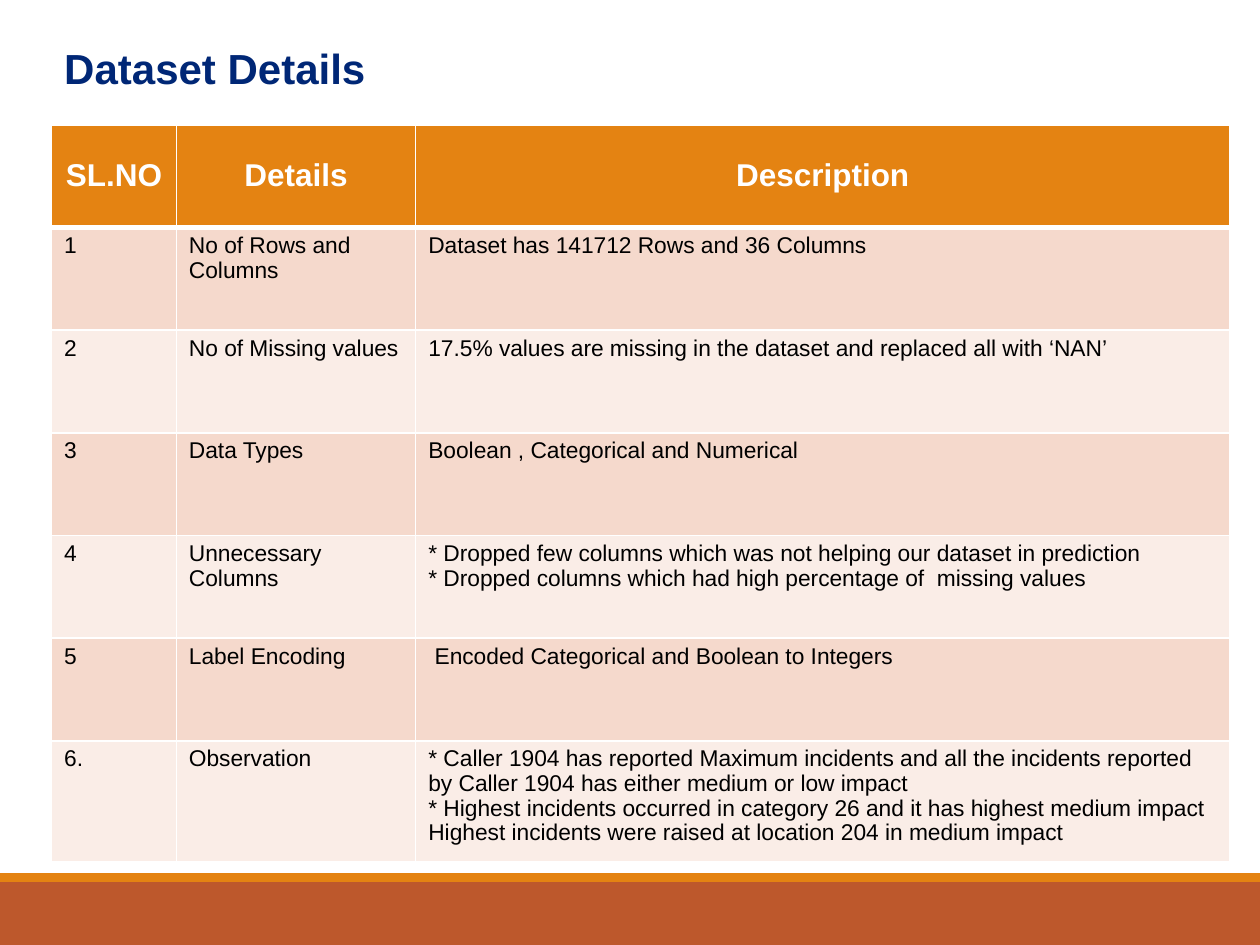
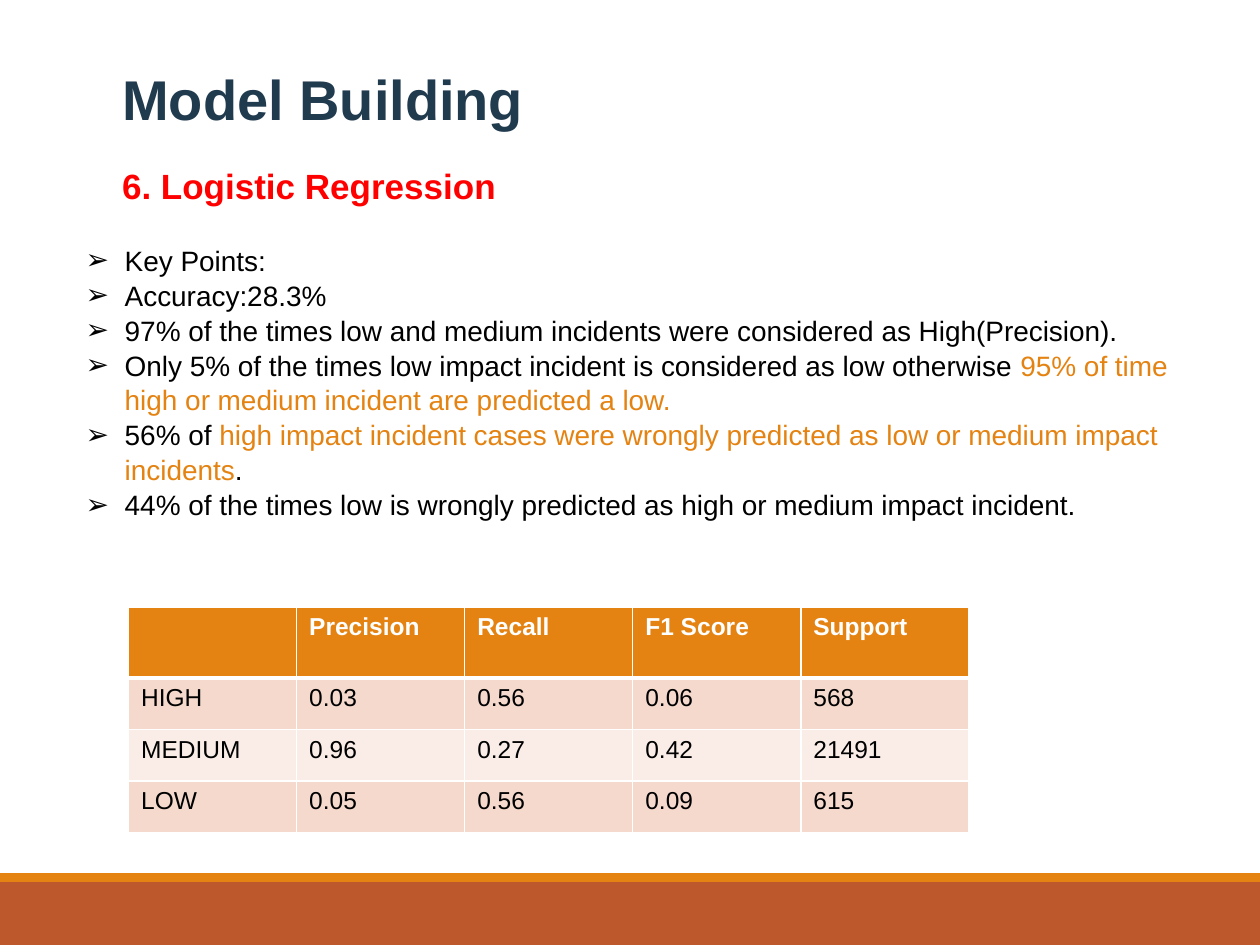
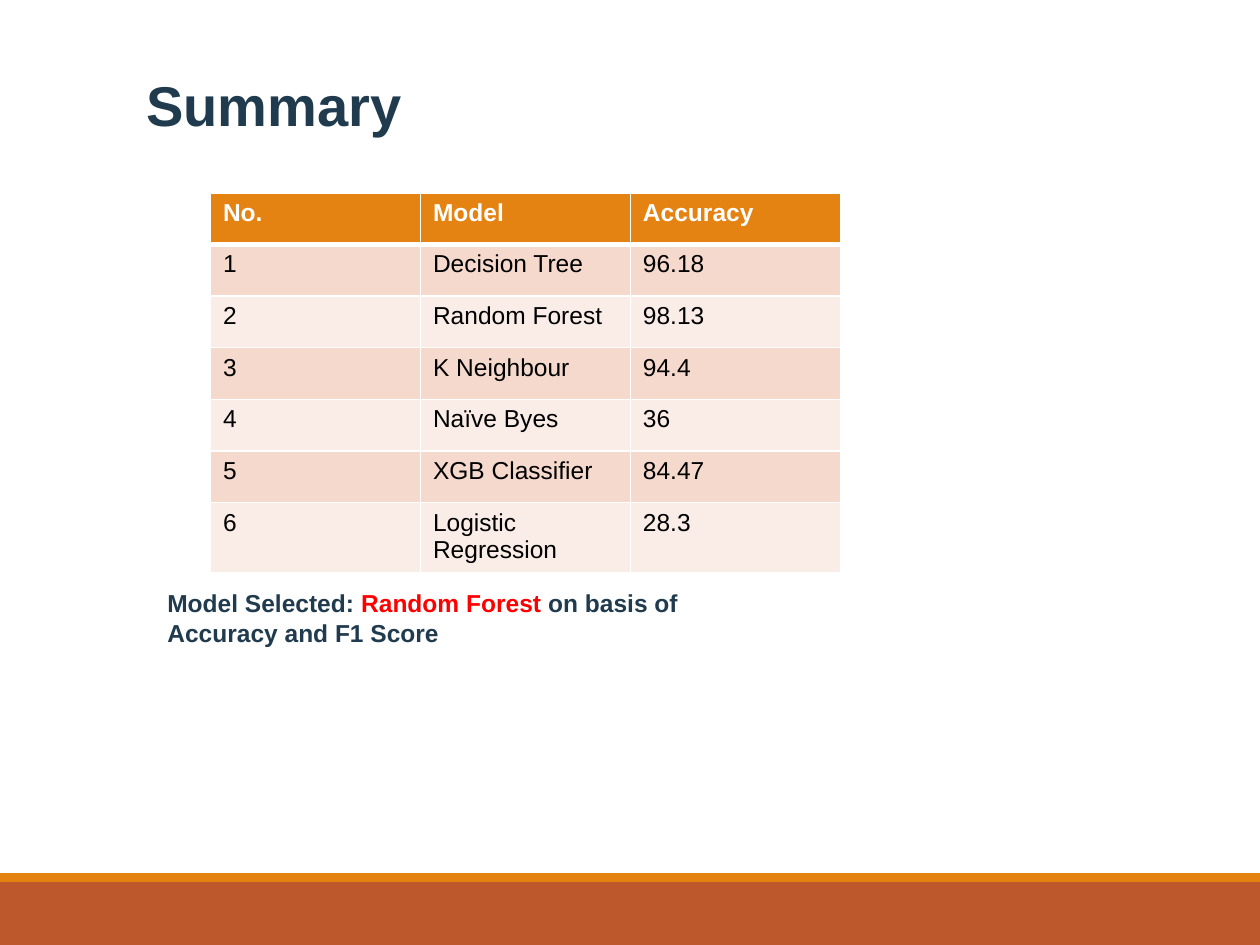
from lxml.etree import SubElement
from pptx import Presentation
from pptx.dml.color import RGBColor
from pptx.enum.shapes import MSO_SHAPE
from pptx.enum.text import MSO_ANCHOR, MSO_AUTO_SIZE, PP_ALIGN
from pptx.oxml.ns import qn
from pptx.util import Inches, Pt

FONT = "Arial"
ORANGE = RGBColor(0xE4, 0x83, 0x12)
RUST = RGBColor(0xBD, 0x58, 0x2C)
NAVY = RGBColor(0x00, 0x27, 0x76)
SLATE = RGBColor(0x20, 0x3A, 0x4E)
RED = RGBColor(0xFF, 0x00, 0x00)
BLACK = RGBColor(0x00, 0x00, 0x00)
WHITE = RGBColor(0xFF, 0xFF, 0xFF)
ROW_FILLS = (RGBColor(0xF5, 0xD9, 0xCC), RGBColor(0xFA, 0xED, 0xE7))

TITLE_ONLY, TITLE_AND_BODY = 5, 1
ROW_HEIGHT = 0.41
TALL_ROW_HEIGHT = 0.56

DATASET_ROWS = [
    ["SL.NO", "Details", "Description"],
    ["1", "No of Rows and Columns", "Dataset has 141712 Rows and 36 Columns"],
    ["2", "No of Missing values",
     "17.5% values are missing in the dataset and replaced all with ‘NAN’"],
    ["3", "Data Types", "Boolean , Categorical and Numerical"],
    ["4", "Unnecessary Columns",
     ["* Dropped few columns which was not helping our dataset in prediction",
      "* Dropped columns which had high percentage of  missing values"]],
    ["5", "Label Encoding", " Encoded Categorical and Boolean to Integers"],
    ["6.", "Observation",
     ["* Caller 1904 has reported Maximum incidents and all the incidents reported  "
      "by Caller 1904 has either medium or low impact",
      "* Highest incidents occurred in category 26 and it has highest medium impact",
      "Highest incidents were raised at location 204 in medium impact"]],
]
KEY_POINTS = [
    "Key Points:",
    "Accuracy:28.3%",
    "97% of the times low and medium incidents were considered as High(Precision).",
    ["Only 5% of the times low impact incident is considered as low otherwise ",
     ("95% of time high or medium incident are predicted a low.", ORANGE)],
    ["56% of ",
     ("high impact incident cases were wrongly predicted as low or medium impact incidents",
      ORANGE), "."],
    "44% of the times low is wrongly predicted as high or medium impact incident.",
]
SCORE_ROWS = [
    ["", "Precision", "Recall", "F1 Score", "Support"],
    ["HIGH", "0.03", "0.56", "0.06", "568"],
    ["MEDIUM", "0.96", "0.27", "0.42", "21491"],
    ["LOW", "0.05", "0.56", "0.09", "615"],
]
SUMMARY_ROWS = [
    ["No.", "Model", "Accuracy"],
    ["1", "Decision Tree", "96.18"],
    ["2", "Random Forest", "98.13"],
    ["3", "K Neighbour", "94.4"],
    ["4", "Naïve Byes", "36"],
    ["5", "XGB Classifier", "84.47"],
    ["6", "Logistic Regression", "28.3"],
]


def write_text(frame, paragraphs, size=14, color=BLACK, bold=False,
               align=PP_ALIGN.LEFT, spacing=1.0, bullet=None):
    """Fill a frame; a paragraph is a string or a list of strings and (text, color) runs."""
    for index, content in enumerate(paragraphs):
        paragraph = frame.add_paragraph() if index else frame.paragraphs[0]
        paragraph.alignment = align
        paragraph.line_spacing = spacing
        paragraph.space_before = Pt(0)
        if bullet:
            add_bullet(paragraph, bullet)
        for part in [content] if isinstance(content, str) else content:
            text, run_color = (part, color) if isinstance(part, str) else part
            run = paragraph.add_run()
            run.text = text
            run.font.name = FONT
            run.font.size = Pt(size)
            run.font.bold = bold
            run.font.color.rgb = run_color


def add_bullet(paragraph, character, indent=Inches(0.31)):
    properties = paragraph._p.get_or_add_pPr()
    properties.set("marL", str(indent))
    properties.set("indent", str(-indent))
    color = SubElement(properties, qn("a:buClr"))
    SubElement(color, qn("a:srgbClr"), val=str(BLACK))
    SubElement(properties, qn("a:buFont"), typeface=FONT)
    SubElement(properties, qn("a:buChar"), char=character)


def place_text(shape, box, paragraphs, **text_format):
    shape.left, shape.top, shape.width, shape.height = map(Inches, box)
    frame = shape.text_frame
    frame.word_wrap = True
    frame.auto_size = MSO_AUTO_SIZE.NONE
    frame.vertical_anchor = MSO_ANCHOR.TOP
    write_text(frame, paragraphs, **text_format)


def add_text_box(slide, box, paragraphs, **text_format):
    place_text(slide.shapes.add_textbox(*map(Inches, box)), box, paragraphs, **text_format)


def add_titled_slide(presentation, layout, title, box, size=32, color=SLATE):
    slide = presentation.slides.add_slide(presentation.slide_layouts[layout])
    place_text(slide.shapes.title, box, [title], size=size, color=color, bold=True)
    return slide


def set_borders(cell, top, bottom):
    """Draw white cell edges, with top and bottom widths in points."""
    properties = cell._tc.get_or_add_tcPr()
    edges = (("a:lnL", 1), ("a:lnR", 1), ("a:lnT", top), ("a:lnB", bottom))
    for position, (tag, width) in enumerate(edges):
        line = SubElement(properties, qn(tag), w=str(Pt(width)))
        fill = SubElement(line, qn("a:solidFill"))
        SubElement(fill, qn("a:srgbClr"), val=str(WHITE))
        properties.insert(position, line)


def add_banded_table(slide, left, top, widths, heights, rows, header_size=14,
                     body_size=14, centre_header=False, spacing=1.0):
    table = slide.shapes.add_table(
        len(rows), len(widths), Inches(left), Inches(top),
        Inches(sum(widths)), Inches(sum(heights))).table
    for column, width in zip(table.columns, widths):
        column.width = Inches(width)
    for index, (row, height, values) in enumerate(zip(table.rows, heights, rows)):
        row.height = Inches(height)
        header = index == 0
        for cell, value in zip(row.cells, values):
            cell.fill.solid()
            cell.fill.fore_color.rgb = ORANGE if header else ROW_FILLS[(index - 1) % 2]
            set_borders(cell, top=3 if index == 1 else 1, bottom=3 if header else 1)
            centred = header and centre_header
            cell.vertical_anchor = MSO_ANCHOR.MIDDLE if centred else MSO_ANCHOR.TOP
            if value:
                write_text(cell.text_frame, [value] if isinstance(value, str) else value,
                           size=header_size if header else body_size,
                           color=WHITE if header else BLACK, bold=header,
                           align=PP_ALIGN.CENTER if centred else PP_ALIGN.LEFT,
                           spacing=spacing)


def add_footer_bands(presentation, slide):
    """Draw the bands on a slide and move them to the master, so every slide shows them."""
    bands = ((7, 0.5, RUST), (6.93, 0.07, ORANGE))
    for number, (top, height, color) in enumerate(bands):
        band = slide.shapes.add_shape(MSO_SHAPE.RECTANGLE, 0, Inches(top),
                                      presentation.slide_width, Inches(height))
        band.shadow.inherit = False
        band.fill.solid()
        band.fill.fore_color.rgb = color
        band.line.fill.background()
        band.element.nvSpPr.cNvPr.set("id", str(100 + number))
        presentation.slide_master.shapes.element.append(band.element)


def add_dataset_slide(presentation):
    slide = add_titled_slide(presentation, TITLE_ONLY, "Dataset Details",
                             (0.41, 0.29, 6.71, 0.5), size=24, color=NAVY)
    add_banded_table(slide, 0.41, 0.99, [0.99, 1.9, 6.46], [0.815] * 6 + [0.96],
                     DATASET_ROWS, header_size=18, body_size=13,
                     centre_header=True, spacing=0.97)
    return slide


def add_model_slide(presentation):
    slide = add_titled_slide(presentation, TITLE_AND_BODY, "Model Building",
                             (0.87, 0.46, 5, 0.64))
    add_text_box(slide, (0.87, 1.26, 5.69, 0.77), ["6. Logistic Regression"],
                 size=20, color=RED, bold=True)
    place_text(slide.placeholders[1], (0.58, 1.87, 8.94, 2.52), KEY_POINTS,
               size=16, spacing=1.04, bullet="➢")
    add_banded_table(slide, 1.02, 4.82, [6.67 / 5] * 5,
                     [TALL_ROW_HEIGHT] + [ROW_HEIGHT] * 3, SCORE_ROWS)


def add_summary_slide(presentation):
    slide = add_titled_slide(presentation, TITLE_ONLY, "Summary", (1.06, 0.51, 5, 0.64))
    add_banded_table(slide, 1.67, 1.53, [5 / 3] * 3,
                     [ROW_HEIGHT] * 6 + [TALL_ROW_HEIGHT], SUMMARY_ROWS)
    add_text_box(slide, (1.23, 4.62, 5, 0.57),
                 [["Model Selected: ", ("Random Forest ", RED),
                   "on basis of Accuracy and F1 Score"]],
                 size=14, color=SLATE, bold=True)


def main():
    presentation = Presentation()
    presentation.slide_width = Inches(10)
    presentation.slide_height = Inches(7.5)
    dataset_slide = add_dataset_slide(presentation)
    add_footer_bands(presentation, dataset_slide)
    add_model_slide(presentation)
    add_summary_slide(presentation)
    presentation.save("out.pptx")


if __name__ == "__main__":
    main()
